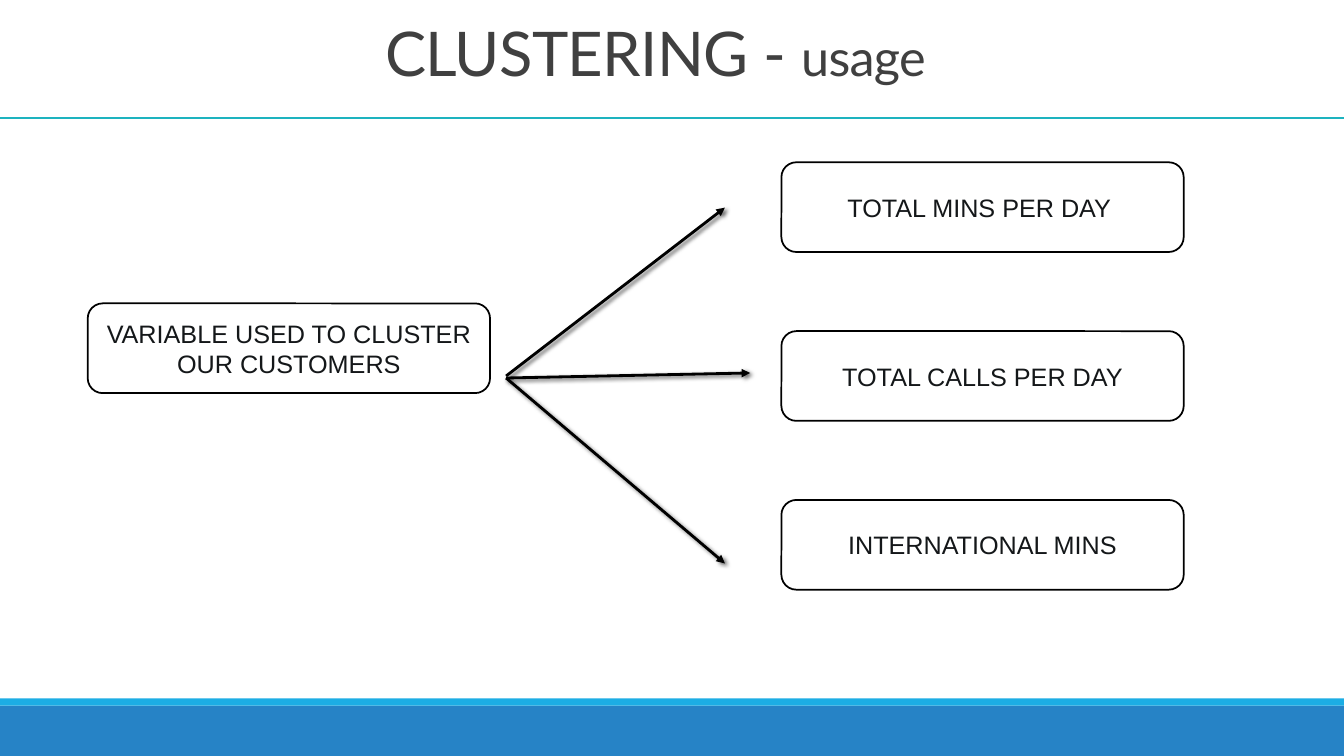
"""Build the slide on the variables used to cluster customers."""
from lxml import etree
from pptx import Presentation
from pptx.dml.color import RGBColor
from pptx.enum.shapes import MSO_CONNECTOR, MSO_SHAPE
from pptx.enum.text import MSO_ANCHOR, MSO_AUTO_SIZE, PP_ALIGN
from pptx.oxml import parse_xml
from pptx.oxml.ns import nsdecls, qn
from pptx.util import Inches, Pt

RECT = MSO_SHAPE.RECTANGLE
ROUND = MSO_SHAPE.ROUNDED_RECTANGLE
STRAIGHT = MSO_CONNECTOR.STRAIGHT
CENTER = PP_ALIGN.CENTER
TOP = MSO_ANCHOR.TOP
MIDDLE = MSO_ANCHOR.MIDDLE
GROW = MSO_AUTO_SIZE.SHAPE_TO_FIT_TEXT

BLUE = RGBColor(0x26, 0x83, 0xC6)
SKY = RGBColor(0x1C, 0xAD, 0xE4)
TEAL = RGBColor(0x1D, 0xB3, 0xBF)
GRAY = RGBColor(0x40, 0x40, 0x40)
INK = RGBColor(0x14, 0x17, 0x19)
BLACK = RGBColor(0, 0, 0)
WHITE = RGBColor(0xFF, 0xFF, 0xFF)

WIDTH = 13.33
LABELS = ["TOTAL MINS PER DAY ", "TOTAL CALLS PER DAY", "INTERNATIONAL MINS"]
ARROWS = [((5.02, 3.73), (7.19, 2.06)),
          ((5.02, 3.75), (7.44, 3.7)),
          ((5.02, 3.75), (7.19, 5.59))]
SHADOW = (
    f'<a:effectLst {nsdecls("a")}>'
    '<a:outerShdw blurRad="38100" dist="25400" dir="2700000" rotWithShape="0">'
    '<a:srgbClr val="000000"><a:alpha val="60000"/></a:srgbClr>'
    '</a:outerShdw></a:effectLst>')


def add_title(slide):
    """Place the title with its smaller second part."""
    title = slide.shapes.title
    title.left, title.top = Inches(1), Inches(0.21)
    title.width, title.height = Inches(11), Inches(0.73)
    frame = title.text_frame
    frame.auto_size = GROW
    frame.word_wrap = True
    frame.vertical_anchor = TOP
    para = frame.paragraphs[0]
    para.alignment = CENTER
    para.line_spacing = 0.85
    for text, size in (("CLUSTERING - ", 44), ("usage", 36)):
        run = para.add_run()
        run.text = text
        run.font.name = "Lato"
        run.font.size = Pt(size)
        run.font.color.rgb = GRAY
        run._r.get_or_add_rPr().set("spc", "-50")


def add_band(slide, top, height, color):
    """Add a full-width band."""
    band = slide.shapes.add_shape(
        RECT, 0, Inches(top), Inches(WIDTH), Inches(height))
    band.shadow.inherit = False
    band.fill.solid()
    band.fill.fore_color.rgb = color
    band.line.fill.background()


def add_box(slide, left, top, text):
    """Add a rounded box with a centred label."""
    box = slide.shapes.add_shape(
        ROUND, Inches(left), Inches(top), Inches(3.99), Inches(0.89))
    box.shadow.inherit = False
    box.fill.solid()
    box.fill.fore_color.rgb = WHITE
    box.line.color.rgb = BLACK
    box.line.width = Pt(1.25)
    frame = box.text_frame
    frame.word_wrap = True
    frame.vertical_anchor = MIDDLE
    frame.text = text
    para = frame.paragraphs[0]
    para.alignment = CENTER
    font = para.runs[0].font
    font.name = "Arial"
    font.size = Pt(18)
    font.color.rgb = INK


def add_line(slide, start, end, color, width):
    """Add a plain straight line and return it."""
    line = slide.shapes.add_connector(
        STRAIGHT, *(Inches(value) for value in start + end))
    line.line.color.rgb = color
    line.line.width = Pt(width)
    etree.SubElement(line._element.spPr, qn("a:effectLst"))
    return line


def add_arrow(slide, start, end):
    """Add a black arrow with a soft shadow."""
    props = add_line(slide, start, end, BLACK, 2)._element.spPr
    etree.SubElement(props.find(qn("a:ln")), qn("a:tailEnd"), type="triangle")
    props.replace(props.find(qn("a:effectLst")), parse_xml(SHADOW))


def main():
    """Build and save the slide."""
    deck = Presentation()
    deck.slide_width, deck.slide_height = Inches(WIDTH), Inches(7.5)
    slide = deck.slides.add_slide(deck.slide_layouts[5])
    add_band(slide, 7, 0.5, BLUE)
    add_band(slide, 6.93, 0.07, SKY)
    add_line(slide, (0, 1.17), (WIDTH, 1.17), TEAL, 1)
    add_title(slide)
    add_box(slide, 0.87, 3.01, "VARIABLE USED TO CLUSTER OUR CUSTOMERS")
    for start, end in ARROWS:
        add_arrow(slide, start, end)
    for row, label in enumerate(LABELS):
        add_box(slide, 7.75, 1.61 + 1.675 * row, label)
    deck.save("out.pptx")


if __name__ == "__main__":
    main()
